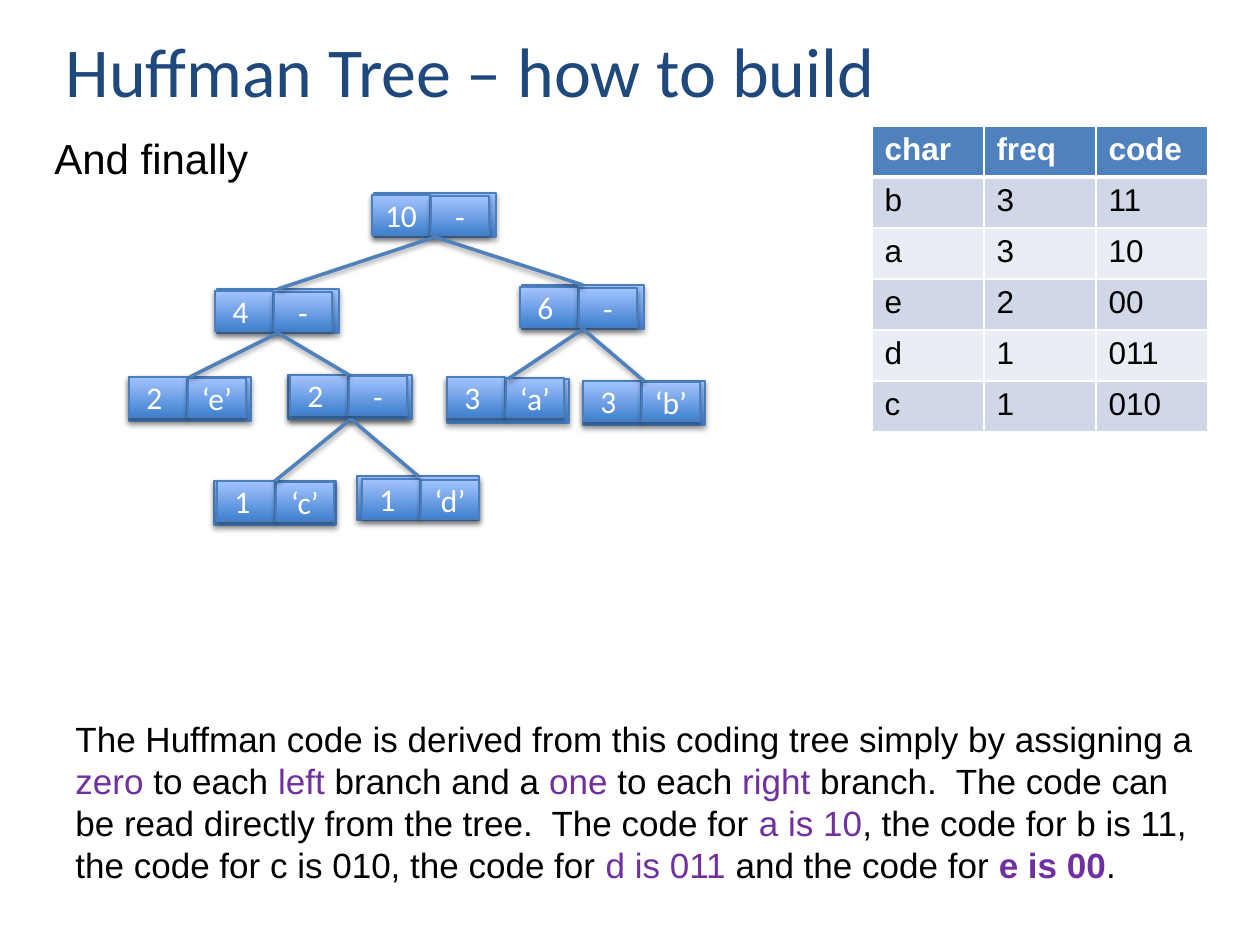
"""Build the slide that shows a finished Huffman tree and its code table."""
from dataclasses import dataclass

from pptx import Presentation
from pptx.dml.color import RGBColor
from pptx.enum.shapes import MSO_CONNECTOR, MSO_SHAPE
from pptx.enum.text import MSO_ANCHOR, MSO_AUTO_SIZE, PP_ALIGN
from pptx.oxml import parse_xml
from pptx.oxml.ns import nsdecls
from pptx.util import Pt

PIXEL = 914400 / 126


@dataclass(frozen=True)
class Theme:
    title: str = "1F497D"
    text: str = "000000"
    accent: str = "7030A0"
    light: str = "FFFFFF"
    header: str = "4F81BD"
    bands: tuple = ("D0D8E8", "E9EDF4")
    gradient: tuple = ("3F80CE", "A4C4FF")
    outline: str = "4B7EBC"
    edge: str = "4F81BD"
    body_font: str = "Arial"
    node_font: str = "Calibri"
    title_size: int = 40
    lead_size: int = 24
    note_size: int = 20
    small_size: int = 18


THEME = Theme()


def scale(*pixels):
    return [round(pixel * PIXEL) for pixel in pixels]


def write(paragraph, text, color, **font_format):
    run = paragraph.add_run()
    run.text = text
    run.font.color.rgb = RGBColor.from_string(color)
    for name, value in font_format.items():
        setattr(run.font, name, value)


title_format = {"color": THEME.title, "name": THEME.node_font, "size": Pt(THEME.title_size)}
lead_format = {"color": THEME.text, "name": THEME.body_font, "size": Pt(THEME.lead_size)}
note_format = {"name": THEME.body_font, "size": Pt(THEME.note_size)}
node_format = {"color": THEME.light, "name": THEME.node_font, "size": Pt(THEME.small_size)}
table_format = {"name": THEME.body_font, "size": Pt(THEME.small_size)}
shadow_xml = (
    f'<a:effectLst {nsdecls("a")}><a:outerShdw blurRad="40000" dist="%d" dir="5400000" '
    'rotWithShape="0"><a:srgbClr val="000000"><a:alpha val="%d"/></a:srgbClr>'
    "</a:outerShdw></a:effectLst>"
)

presentation = Presentation()
presentation.slide_width, presentation.slide_height = scale(1260, 945)
slide = presentation.slides.add_slide(presentation.slide_layouts[5])

title = slide.shapes.title
title.left, title.top, title.width, title.height = scale(53, 21, 931, 97)
title.text_frame.auto_size = MSO_AUTO_SIZE.NONE
title.text_frame.vertical_anchor = MSO_ANCHOR.TOP
title.text_frame.paragraphs[0].alignment = PP_ALIGN.LEFT
write(title.text_frame.paragraphs[0], "Huffman Tree – how to build", **title_format)

lead = slide.shapes.add_textbox(*scale(42, 126, 242, 63))
lead.text_frame.word_wrap = True
write(lead.text_frame.paragraphs[0], "And finally ", **lead_format)

note = slide.shapes.add_textbox(*scale(63, 711, 1166, 183))
note.text_frame.word_wrap = True
note_runs = [
    ("The Huffman code is derived from this coding tree simply by assigning a ", False),
    ("zero", True),
    (" to each ", False),
    ("left", True),
    (" branch and a ", False),
    ("one", True),
    (" to each ", False),
    ("right", True),
    (" branch.  The code can be read directly from the tree.  The code for ", False),
    ("a is 10", True),
    (", the code for b is 11, the code for c is 010, the code for ", False),
    ("d is 011 ", True),
    ("and the code for ", False),
    ("e is 00", True),
    (".", False),
]
for text, highlighted in note_runs:
    color = THEME.accent if highlighted else THEME.text
    write(note.text_frame.paragraphs[0], text, color, bold=text == "e is 00", **note_format)

code_rows = [
    ("char", "freq", "code"),
    ("b", "3", "11"),
    ("a", "3", "10"),
    ("e", "2", "00"),
    ("d", "1", "011"),
    ("c", "1", "010"),
]
code_table = slide.shapes.add_table(6, 3, *scale(872, 126, 336, 306)).table
for row_index, row in enumerate(code_rows):
    is_header = row_index == 0
    fill_color = THEME.header if is_header else THEME.bands[(row_index - 1) % 2]
    text_color = THEME.light if is_header else THEME.text
    for column_index, text in enumerate(row):
        cell = code_table.cell(row_index, column_index)
        properties = cell._tc.get_or_add_tcPr()
        for side in "LRTB":
            thick = (row_index, side) in ((0, "B"), (1, "T"))
            properties.append(parse_xml(
                f'<a:ln{side} {nsdecls("a")} w="{Pt(3 if thick else 1)}"><a:solidFill>'
                f'<a:srgbClr val="{THEME.light}"/></a:solidFill></a:ln{side}>'
            ))
        cell.fill.solid()
        cell.fill.fore_color.rgb = RGBColor.from_string(fill_color)
        write(cell.text_frame.paragraphs[0], text, text_color, bold=is_header, **table_format)

nodes = [
    ("c", [(214, 481)], (217, 481), "1 ", "‘c’", ()),
    ("d", [(357, 476)], (362, 479), "1 ", "‘d’", ()),
    ("e", [(129, 377)], (129, 377), "2 ", "‘e’", ()),
    ("b", [(583, 381)], (583, 381), "3 ", "‘b’", ()),
    ("cd", [(288, 375), (290, 375)], (290, 375), "2 ", "-", ("c", "d")),
    ("ecd", [(217, 289)], (215, 291), "4 ", "-", ("e", "cd")),
    ("a", [(447, 379)], (447, 377), "3 ", "‘a’", ()),
    ("ab", [(522, 285)], (520, 287), "6 ", "-", ("a", "b")),
    ("root", [(374, 193)], (372, 195), "10", "-", ("ecd", "ab")),
]
top_frames = {}
for name, frames, (left, top), count, symbol, children in nodes:
    boxes = [(x, y, 122, 44, "") for x, y in frames]
    boxes += [(left, top, 58, 40, count), (left + 59, top + 1, 58, 39, symbol)]
    group = slide.shapes.add_group_shape()
    shapes = []
    for x, y, width, height, text in boxes:
        shape = group.shapes.add_shape(MSO_SHAPE.RECTANGLE, *scale(x, y, width, height))
        shape.fill.gradient()
        shape.fill.gradient_angle = 90
        for stop, color in zip(shape.fill.gradient_stops, THEME.gradient):
            stop.color.rgb = RGBColor.from_string(color)
        shape.line.color.rgb = RGBColor.from_string(THEME.outline)
        shape.line.width = Pt(0.75)
        shape._element.spPr.append(parse_xml(shadow_xml % (23000, 35000)))
        if text:
            shape.text_frame.vertical_anchor = MSO_ANCHOR.MIDDLE
            shape.text_frame.paragraphs[0].alignment = PP_ALIGN.CENTER
            write(shape.text_frame.paragraphs[0], text, **node_format)
        shapes.append(shape)
    top_frames[name] = shapes[0]
    parent = shapes[len(frames) - 1]
    for child in children:
        edge = slide.shapes.add_connector(MSO_CONNECTOR.STRAIGHT, 0, 0, 0, 0)
        edge.begin_connect(parent, 2)
        edge.end_connect(top_frames[child], 0)
        edge.line.color.rgb = RGBColor.from_string(THEME.edge)
        edge.line.width = Pt(2)
        edge._element.spPr.append(parse_xml(shadow_xml % (20000, 38000)))

presentation.save("out.pptx")
